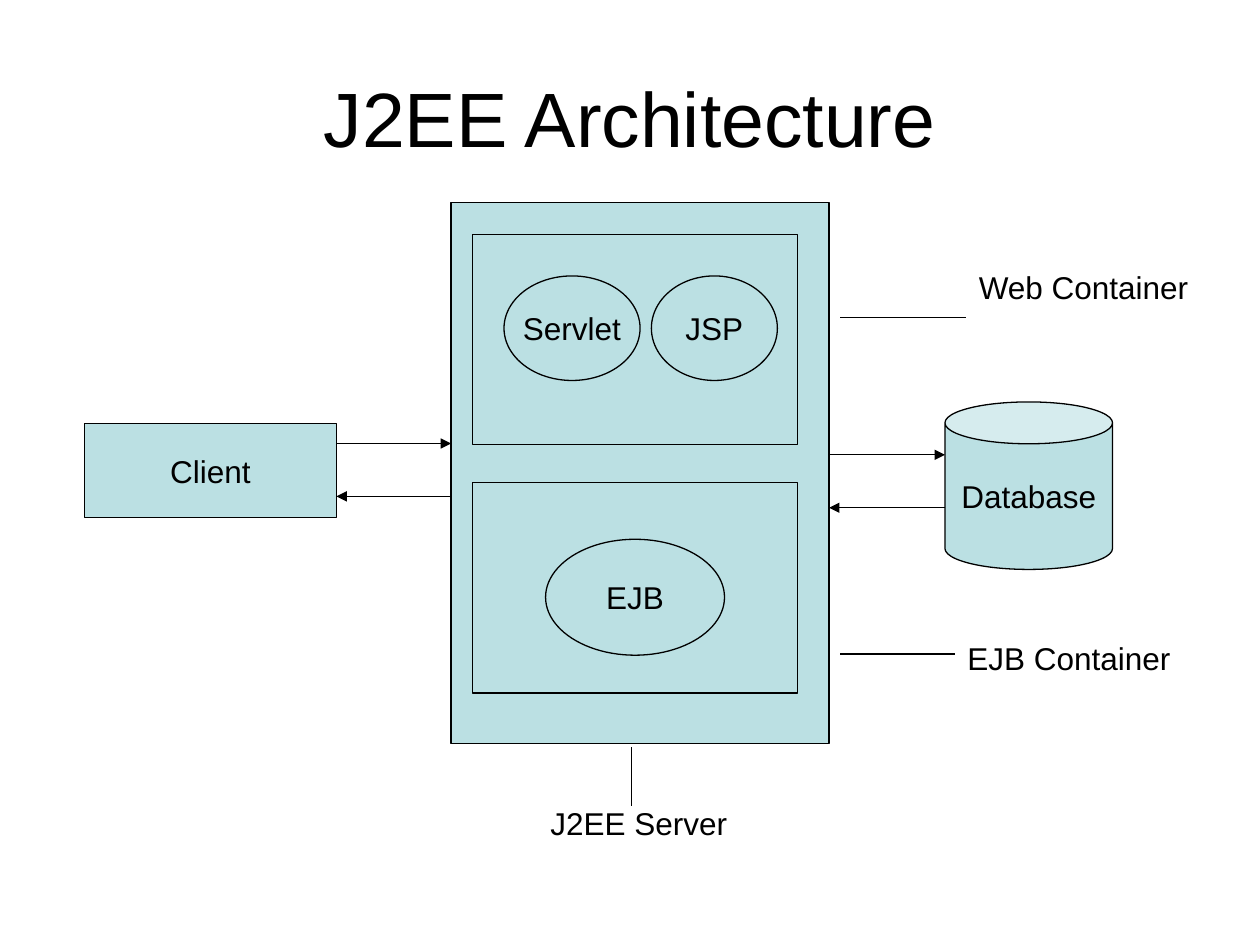
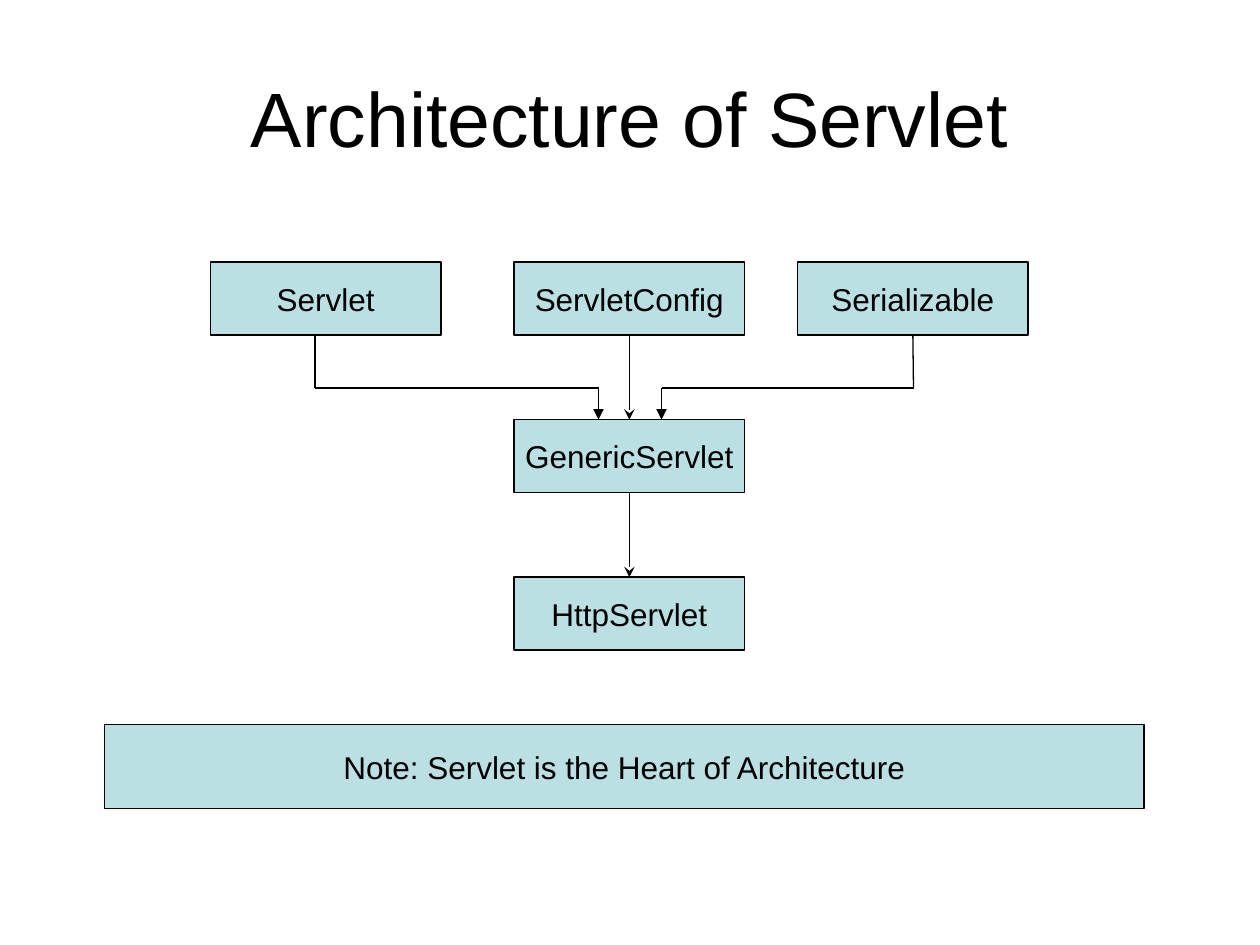
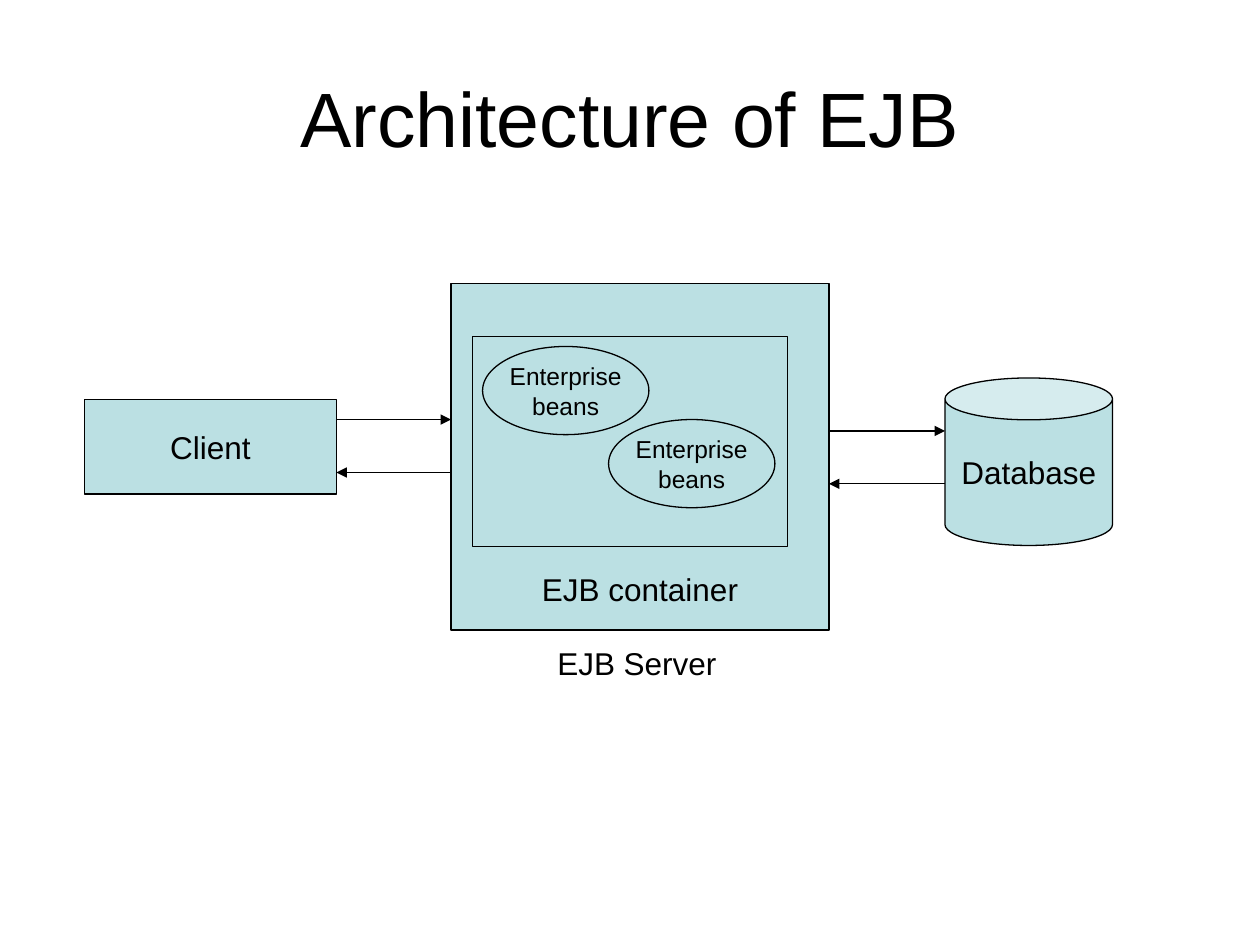
import pptx
import pptx.util
import pptx.dml.color
import pptx.enum.shapes
import pptx.enum.text
import pptx.oxml
import pptx.oxml.ns
from dataclasses import dataclass

Inches = pptx.util.Inches
Pt = pptx.util.Pt
RGB = pptx.dml.color.RGBColor
MSO = pptx.enum.shapes.MSO_SHAPE
ALIGN = pptx.enum.text.PP_ALIGN
ANCHOR = pptx.enum.text.MSO_ANCHOR


@dataclass(frozen=True)
class Theme:
    font: str = "Arial"
    ink: RGB = RGB(0, 0, 0)
    fill: RGB = RGB(0xBB, 0xE0, 0xE3)
    title: int = 44
    body: int = 18
    small: int = 14
    line: float = 0.75


THEME = Theme()
TITLES = ["J2EE Architecture", "Architecture of Servlet", "Architecture of EJB"]
SERVER_LEFT, SERVER_WIDTH = 3.58, 3

CONTAINERS = [(3.75, 1.86, 2.58, 1.67), (3.75, 3.83, 2.58, 1.67)]
COMPONENTS = [
    ("Servlet", (4, 2.19, 1.08, 0.83)),
    ("JSP", (5.17, 2.19, 1, 0.83)),
    ("EJB", (4.33, 4.28, 1.42, 0.92)),
]
CALLOUTS = [
    ("Web Container", (7.67, 2.08, 2.08, 0.4), (6.67, 2.52), (7.67, 2.52)),
    ("EJB Container", (7.58, 5.02, 1.83, 0.4), (6.67, 5.19), (7.58, 5.19)),
    ("J2EE Server", (4.27, 6.33, 2.12, 0.4), (5.01, 5.93), (5.01, 6.4)),
]

CLASS_SIZE = (1.83, 0.58)
CLASSES = [
    ("Servlet", 1.67, 0),
    ("ServletConfig", 4.08, 0),
    ("Serializable", 6.33, 0),
    ("GenericServlet", 4.08, 1),
    ("HttpServlet", 4.08, 2),
]
CLASS_TOP, CLASS_STEP = 2.08, 1.25
JUNCTION = 3.08
NOTE = "Note: Servlet is the Heart of Architecture"

BEANS = [(3.83, 2.75), (4.83, 3.33)]
BEAN_SIZE = (1.32, 0.7)


def put_text(tf, text, size=THEME.body, align=ALIGN.CENTER,
             anchor=ANCHOR.MIDDLE, wrap=False, bottom=0.05):
    tf.word_wrap = wrap
    tf.vertical_anchor = anchor
    tf.margin_left = tf.margin_right = Inches(0.1)
    tf.margin_top, tf.margin_bottom = Inches(0.05), Inches(bottom)
    tf.text = text
    for p in tf.paragraphs:
        p.alignment = align
        p.font.name = THEME.font
        p.font.size = Pt(size)
        p.font.color.rgb = THEME.ink


def add_box(s, box, text="", kind=MSO.RECTANGLE, filled=True, **fmt):
    sp = s.shapes.add_shape(kind, *map(Inches, box))
    sp.shadow.inherit = False
    if filled:
        sp.fill.solid()
        sp.fill.fore_color.rgb = THEME.fill
    else:
        sp.fill.background()
    sp.line.color.rgb = THEME.ink
    sp.line.width = Pt(THEME.line)
    if text:
        put_text(sp.text_frame, text, **fmt)
    return sp


def add_label(s, text, box, align=ALIGN.LEFT):
    sp = s.shapes.add_textbox(*map(Inches, box))
    put_text(sp.text_frame, text, align=align, anchor=ANCHOR.TOP, wrap=True)


def add_line(s, start, end, head=None):
    line = s.shapes.add_connector(pptx.enum.shapes.MSO_CONNECTOR.STRAIGHT,
                                  *map(Inches, (*start, *end)))
    line.line.color.rgb = THEME.ink
    line.line.width = Pt(THEME.line)
    if head:
        tail = pptx.oxml.parse_xml(
            f'<a:tailEnd {pptx.oxml.ns.nsdecls("a")} type="{head}"/>')
        line.line._get_or_add_ln().append(tail)
    line._element.spPr.append(
        pptx.oxml.parse_xml(f'<a:effectLst {pptx.oxml.ns.nsdecls("a")}/>'))
    return line


def add_slide(prs, title):
    s = prs.slides.add_slide(prs.slide_layouts[5])
    sp = s.shapes.title
    sp.left, sp.top, sp.width, sp.height = map(Inches, (0.5, 0.3, 9, 1.25))
    put_text(sp.text_frame, title, size=THEME.title, wrap=True)
    return s


def add_tiers(s, client_top, server_top, server_height, **server):
    client_right, database_left = 2.67, 7.5
    server_right = SERVER_LEFT + SERVER_WIDTH
    add_box(s, (0.67, client_top, 2, 0.75), "Client")
    add_box(s, (SERVER_LEFT, server_top, SERVER_WIDTH, server_height), **server)
    add_box(s, (database_left, client_top - 0.17, 1.33, 1.33), "Database", MSO.CAN)
    for left, right, offset in [(client_right, SERVER_LEFT, 0.16),
                                (server_right, database_left, 0.25)]:
        y = client_top + offset
        add_line(s, (left, y), (right, y), "triangle")
        add_line(s, (right, y + 0.42), (left, y + 0.42), "triangle")


def build_j2ee(s):
    add_tiers(s, 3.36, 1.61, 4.29)
    for box in CONTAINERS:
        add_box(s, box, filled=False)
    for text, box in COMPONENTS:
        add_box(s, box, text, MSO.OVAL)
    for text, box, start, end in CALLOUTS:
        add_label(s, text, box)
        add_line(s, start, end)


def build_servlet(s):
    width, height = CLASS_SIZE
    boxes = {name: add_box(s, (x, CLASS_TOP + row * CLASS_STEP, width, height), name)
             for name, x, row in CLASSES}
    chain = ["ServletConfig", "GenericServlet", "HttpServlet"]
    for upper, lower in zip(chain, chain[1:]):
        line = add_line(s, (5, 2.67), (5, 3.33), "stealth")
        line.begin_connect(boxes[upper], 2)
        line.end_connect(boxes[lower], 0)
    bottom, target = CLASS_TOP + height, CLASS_TOP + CLASS_STEP
    for outer, inner in [(2.5, 4.75), (7.25, 5.25)]:
        drop = add_line(s, (outer, bottom), (outer, JUNCTION))
        if outer == 7.25:
            drop.begin_connect(boxes["Serializable"], 2)
        add_line(s, (outer, JUNCTION), (inner, JUNCTION))
        add_line(s, (inner, JUNCTION), (inner, target), "triangle")
    add_box(s, (0.83, 5.75, 8.25, 0.67), NOTE)


def build_ejb(s):
    add_tiers(s, 3.17, 2.25, 2.75, text="EJB container",
              anchor=ANCHOR.BOTTOM, bottom=0.18)
    add_box(s, (3.75, 2.67, 2.5, 1.67))
    for spot in BEANS:
        add_box(s, (*spot, *BEAN_SIZE), "Enterprise\nbeans", MSO.OVAL, size=THEME.small)
    add_label(s, "EJB Server", (3.89, 5.06, 2.33, 0.4), ALIGN.CENTER)


def main():
    prs = pptx.Presentation()
    prs.slide_width, prs.slide_height = Inches(10), Inches(7.5)
    for title, build in zip(TITLES, [build_j2ee, build_servlet, build_ejb]):
        build(add_slide(prs, title))
    prs.save("out.pptx")


if __name__ == "__main__":
    main()
